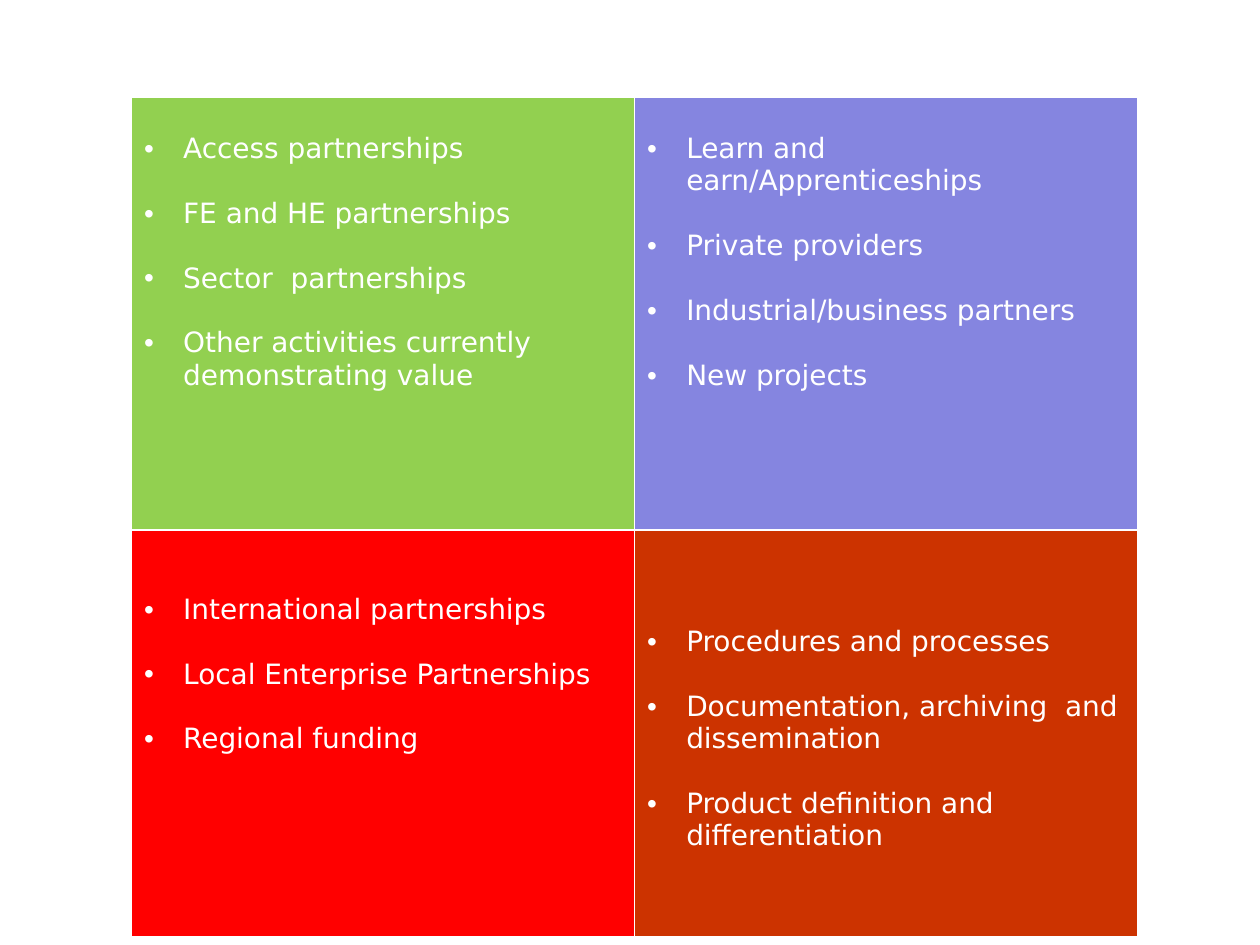
from lxml import etree
from pptx import Presentation
from pptx.dml.color import RGBColor
from pptx.enum import shapes
from pptx.oxml import ns
from pptx.util import Cm, Pt

WHITE = RGBColor(0xFF, 0xFF, 0xFF)
LILAC = RGBColor(0xAC, 0x8E, 0xE8)
GREEN = RGBColor(0x92, 0xD0, 0x50)
PERIWINKLE = RGBColor(0x85, 0x85, 0xE0)
RED = RGBColor(0xFF, 0x00, 0x00)
RUST = RGBColor(0xCC, 0x33, 0x00)


class Deck:
    font = {"name": "DejaVu Sans", "size": Pt(16), "bold": False}
    gap = Pt(18.6)
    indent = Cm(0.79)
    border = Pt(1)

    def __init__(self, width, height):
        self.presentation = Presentation()
        self.presentation.slide_width = width
        self.presentation.slide_height = height
        self.slide = self.presentation.slides.add_slide(self.presentation.slide_layouts[6])

    def background(self, color):
        fill = self.slide.background.fill
        fill.solid()
        fill.fore_color.rgb = color

    def panel(self, left, top, width, height, color):
        panel = self.slide.shapes.add_shape(
            shapes.MSO_SHAPE.RECTANGLE, left, top, width, height)
        panel.shadow.inherit = False
        panel.fill.solid()
        panel.fill.fore_color.rgb = color
        panel.line.fill.background()

    def bullet(self, paragraph, wording):
        run = paragraph.add_run()
        run.text = wording
        for name, value in self.font.items():
            setattr(run.font, name, value)
        run.font.color.rgb = WHITE
        properties = paragraph._p.get_or_add_pPr()
        properties.set("marL", str(self.indent))
        properties.set("indent", str(-self.indent))
        etree.SubElement(properties, ns.qn("a:buFont"), typeface="Arial")
        etree.SubElement(properties, ns.qn("a:buChar"), char="•")

    def quadrant(self, cell, color, top_margin, items):
        properties = cell._tc.get_or_add_tcPr()
        for side in ("lnL", "lnR", "lnT", "lnB"):
            line = etree.SubElement(properties, ns.qn(f"a:{side}"), w=str(self.border))
            solid = etree.SubElement(line, ns.qn("a:solidFill"))
            etree.SubElement(solid, ns.qn("a:srgbClr"), val=str(WHITE))
        cell.fill.solid()
        cell.fill.fore_color.rgb = color
        cell.margin_top = top_margin
        frame = cell.text_frame
        for number, wording in enumerate(items):
            paragraph = frame.add_paragraph() if number else frame.paragraphs[0]
            if number:
                paragraph.space_before = self.gap
            self.bullet(paragraph, wording)

    def matrix(self, left, top, column_width, row_heights, rows):
        columns = len(rows[0])
        table = self.slide.shapes.add_table(
            len(rows), columns, left, top, column_width * columns, sum(row_heights)).table
        for name in ("first_row", "horz_banding"):
            setattr(table, name, False)
        for row, height in enumerate(row_heights):
            table.rows[row].height = height
            for column, quadrant in enumerate(rows[row]):
                self.quadrant(table.cell(row, column), *quadrant)


PARTNERSHIPS = [
    [
        (GREEN, Cm(0.7), [
            "Access partnerships",
            "FE and HE partnerships",
            "Sector  partnerships",
            "Other activities currently demonstrating value",
        ]),
        (PERIWINKLE, Cm(0.7), [
            "Learn and earn/Apprenticeships",
            "Private providers",
            "Industrial/business partners",
            "New projects",
        ]),
    ],
    [
        (RED, Cm(1.28), [
            "International partnerships",
            "Local Enterprise Partnerships",
            "Regional funding",
        ]),
        (RUST, Cm(1.93), [
            "Procedures and processes",
            "Documentation, archiving  and dissemination",
            "Product definition and differentiation",
        ]),
    ],
]

WIDTH, HEIGHT = Cm(25.4), Cm(19.05)
deck = Deck(WIDTH, HEIGHT)
deck.background(LILAC)
deck.panel(0, 0, WIDTH, HEIGHT, WHITE)
deck.matrix(Cm(2.65), Cm(1.97), Cm(10.14), [Cm(8.71), Cm(8.2)], PARTNERSHIPS)
deck.presentation.save("out.pptx")
